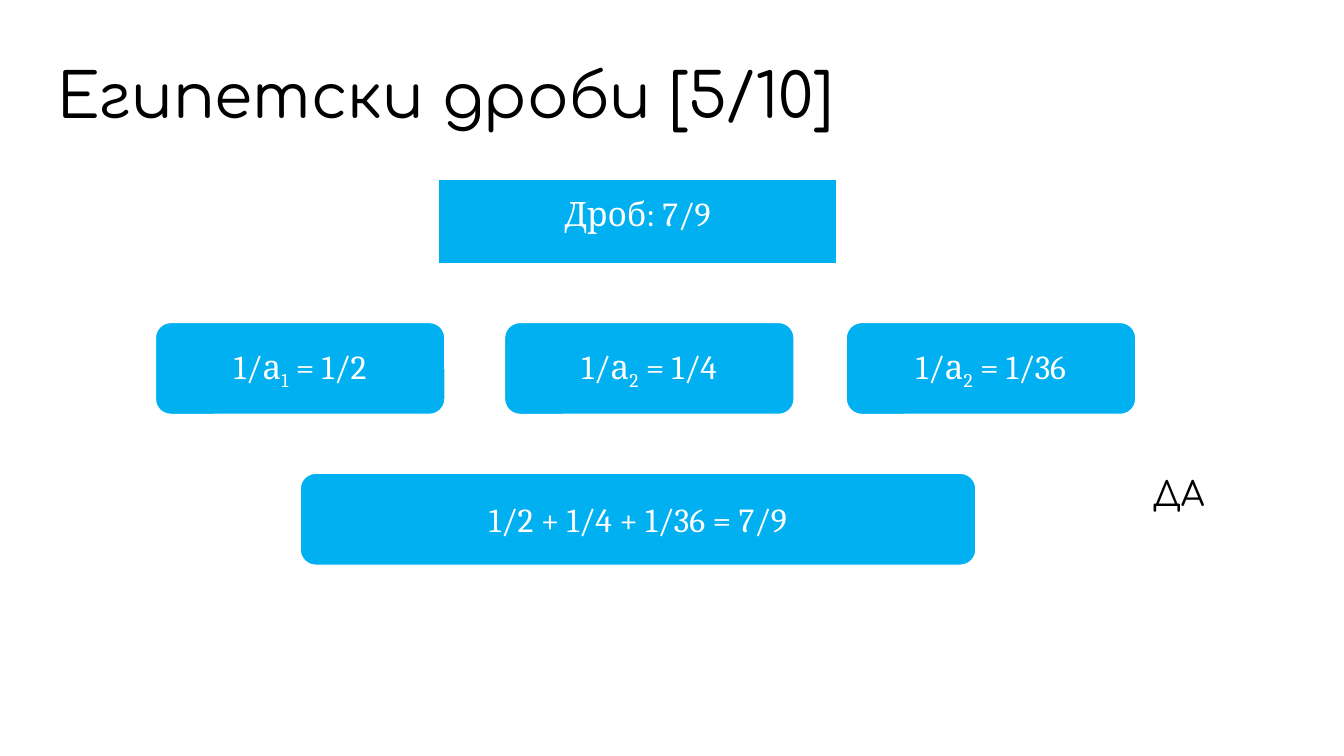
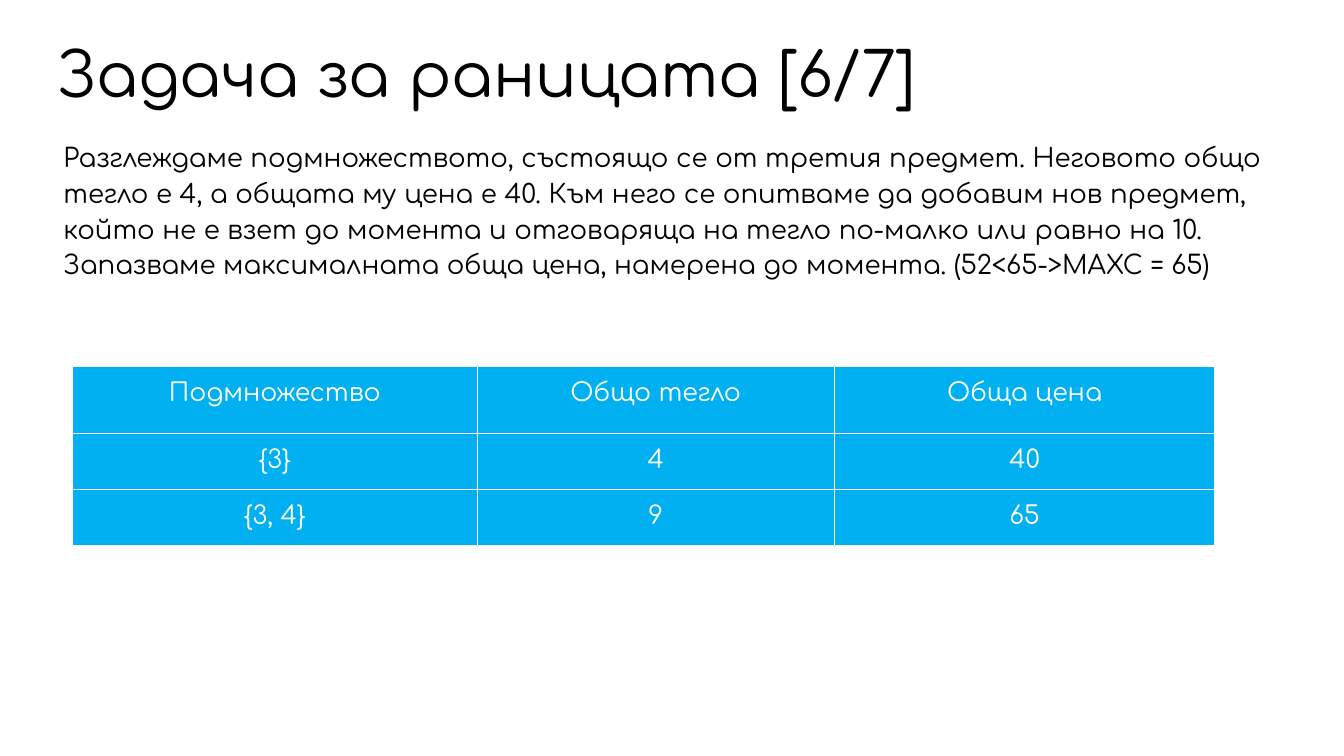
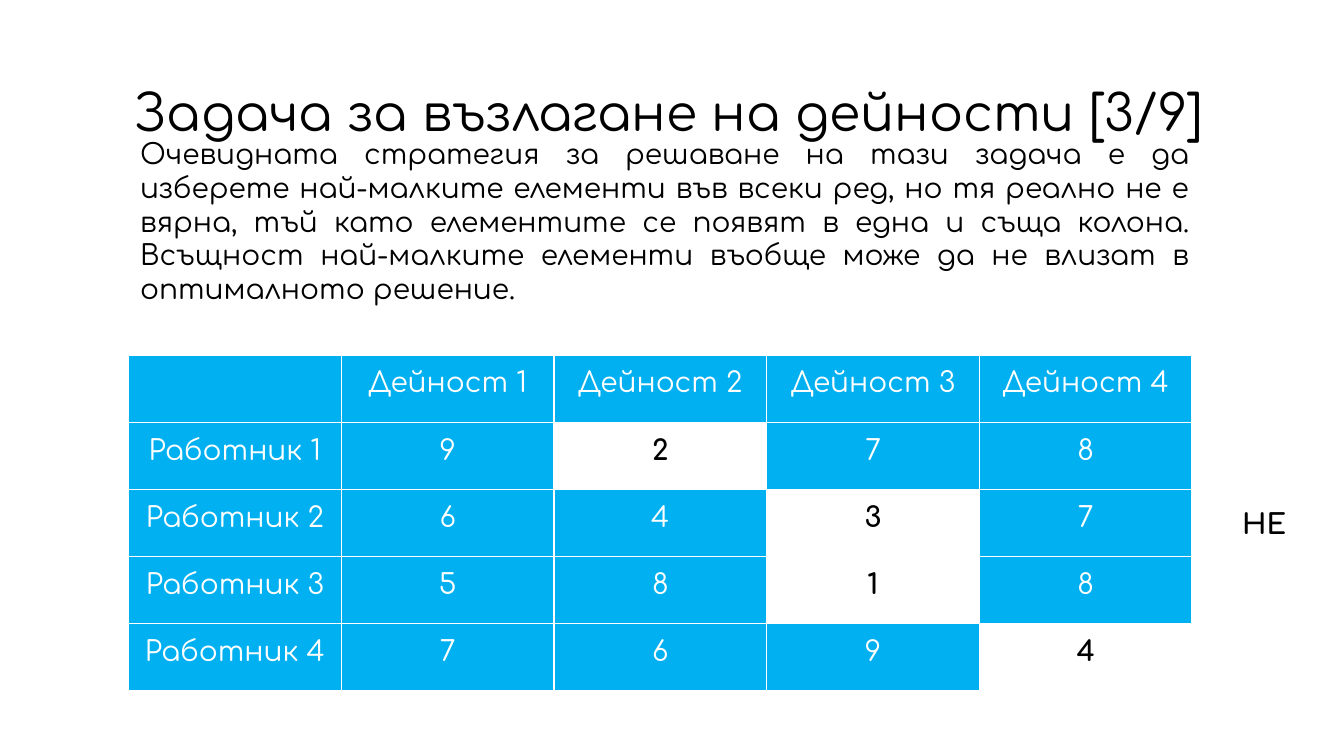
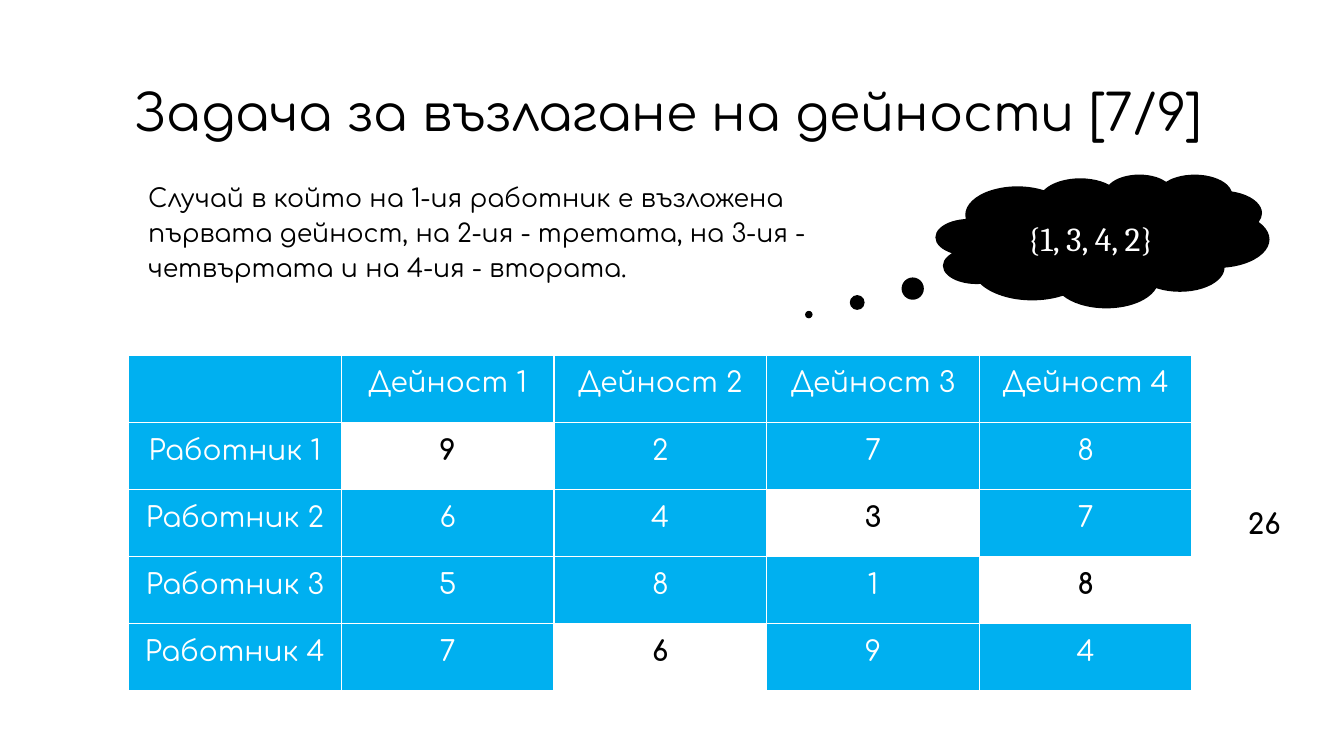
from dataclasses import dataclass

import lxml.etree
import pptx
import pptx.dml.color
import pptx.enum.shapes
import pptx.enum.text
import pptx.oxml.ns
import pptx.util

Cm = pptx.util.Cm
Pt = pptx.util.Pt
ALIGN = pptx.enum.text.PP_ALIGN
ANCHOR = pptx.enum.text.MSO_ANCHOR
SHAPE = pptx.enum.shapes.MSO_SHAPE


@dataclass(frozen=True)
class Theme:
    accent: str = "00B0F0"
    dark: str = "000000"
    light: str = "FFFFFF"
    outline: str = "44546A"
    heading_font: str = "Comfortaa"
    formula_font: str = "Cambria"
    title_size: float = 44
    long_title_size: float = 36
    formula_size: float = 24
    text_size: float = 20
    small_size: float = 18
    knapsack_size: float = 18.6
    inset: float = 0.33
    border: float = 1
    shape_line: float = 0.75


THEME = Theme()
TITLE_ONLY, TITLE_AND_BODY = 5, 1
ASSIGNMENT_TITLE_BOX = (3.1, 1.83, 29.41, 2.13)
COSTS = [[9, 2, 7, 8], [6, 4, 3, 7], [5, 8, 1, 8], [7, 6, 9, 4]]


def rgb(color):
    return pptx.dml.color.RGBColor.from_string(color)


def lengths(box):
    return [Cm(value) for value in box]


def add_run(paragraph, text, size, color=THEME.dark, font=THEME.heading_font, bold=False):
    run = paragraph.add_run()
    run.text = text
    run.font.size = Pt(size)
    run.font.name = font
    run.font.bold = bold
    run.font.color.rgb = rgb(color)
    return run


def add_child(parent, tag, **attributes):
    child = lxml.etree.SubElement(parent, pptx.oxml.ns.qn(tag))
    for name, value in attributes.items():
        child.set(name, str(value))
    return child


def add_line(parent, tag, color, width):
    line = add_child(parent, tag, w=Pt(width))
    add_child(add_child(line, "a:solidFill"), "a:srgbClr", val=color)
    return line


def set_insets(target, horizontal, vertical):
    target.margin_left = target.margin_right = Cm(horizontal)
    target.margin_top = target.margin_bottom = Cm(vertical)


def fill_placeholder(placeholder, box, text, size, anchor, align, spacing):
    placeholder.left, placeholder.top, placeholder.width, placeholder.height = lengths(box)
    frame = placeholder.text_frame
    frame.auto_size = pptx.enum.text.MSO_AUTO_SIZE.NONE
    frame.word_wrap = True
    frame.vertical_anchor = anchor
    set_insets(frame, 0.3, 0.1)
    paragraph = frame.paragraphs[0]
    paragraph.alignment = align
    paragraph.line_spacing = spacing
    add_run(paragraph, text, size)
    return paragraph


def add_slide(presentation, layout, title, box, size):
    slide = presentation.slides.add_slide(presentation.slide_layouts[layout])
    fill_placeholder(slide.shapes.title, box, title, size, ANCHOR.MIDDLE, ALIGN.LEFT, 0.9)
    return slide


def set_body(slide, box, text, size, align=ALIGN.LEFT, spacing=1.15):
    body = slide.placeholders[1]
    paragraph = fill_placeholder(body, box, text, size, ANCHOR.TOP, align, spacing)
    paragraph.space_before = Pt(16)
    properties = paragraph._p.get_or_add_pPr()
    properties.set("marL", "0")
    properties.set("indent", "0")
    add_child(properties, "a:buNone")


def add_formula(slide, kind, box, parts, fill=THEME.accent, anchor=ANCHOR.MIDDLE, outlined=True):
    shape = slide.shapes.add_shape(kind, *lengths(box))
    shape.shadow.inherit = False
    shape.fill.solid()
    shape.fill.fore_color.rgb = rgb(fill)
    if outlined:
        shape.line.color.rgb = rgb(THEME.light)
        shape.line.width = Pt(THEME.shape_line)
    else:
        shape.line.fill.background()
    frame = shape.text_frame
    frame.word_wrap = True
    frame.vertical_anchor = anchor
    set_insets(frame, THEME.inset, THEME.inset)
    paragraph = frame.paragraphs[0]
    paragraph.alignment = ALIGN.CENTER
    for index, part in enumerate(parts):
        run = add_run(paragraph, part, THEME.formula_size, THEME.light, THEME.formula_font)
        if index == 1:
            run.font._element.set("baseline", "-25000")
    return shape


def add_label(slide, box, text, size, bold=False):
    label = slide.shapes.add_textbox(*lengths(box))
    label.text_frame.word_wrap = True
    paragraph = label.text_frame.paragraphs[0]
    paragraph.alignment = ALIGN.CENTER
    return add_run(paragraph, text, size, bold=bold)


def format_cell(cell, text, size, highlighted):
    set_insets(cell, THEME.inset, THEME.inset)
    properties = cell._tc.get_or_add_tcPr()
    for tag in ("a:lnL", "a:lnR", "a:lnT", "a:lnB"):
        add_line(properties, tag, THEME.light, THEME.border)
    cell.fill.solid()
    cell.fill.fore_color.rgb = rgb(THEME.light if highlighted else THEME.accent)
    paragraph = cell.text_frame.paragraphs[0]
    paragraph.alignment = ALIGN.CENTER
    if text:
        color = THEME.dark if highlighted else THEME.light
        add_run(paragraph, text, size, color, bold=highlighted)


def add_grid(slide, left, top, widths, heights, rows, size, highlights=()):
    box = (left, top, sum(widths), sum(heights))
    table = slide.shapes.add_table(len(rows), len(widths), *lengths(box)).table
    table.first_row = table.horz_banding = False
    for column, width in zip(table.columns, widths):
        column.width = Cm(width)
    for row, height in zip(table.rows, heights):
        row.height = Cm(height)
    for row, values in enumerate(rows):
        for column, value in enumerate(values):
            format_cell(table.cell(row, column), str(value), size, (row, column) in highlights)


def add_assignment(slide, chosen, verdict):
    rows = [[""] + [f"Дейност {number}" for number in range(1, 5)]]
    rows += [[f"Работник {number}", *costs] for number, costs in enumerate(COSTS, 1)]
    highlights = set(enumerate(chosen, 1))
    add_grid(slide, 3.24, 8.95, [5.36] * 5, [1.69] * 5, rows, THEME.text_size, highlights)
    add_label(slide, (30.64, 12.64, 2.44, 1.7), verdict, THEME.text_size, bold=True)


def build_fractions(presentation):
    slide = add_slide(presentation, TITLE_ONLY, "Египетски дроби [5/10]",
                      (1.14, 1.42, 31.55, 2.13), THEME.title_size)
    add_formula(slide, SHAPE.RECTANGLE, (11.05, 4.52, 10.03, 2.13), ["Дроб: 7/9"],
                anchor=ANCHOR.TOP)
    terms = [(3.92, "1", "2"), (12.72, "2", "4"), (21.33, "2", "36")]
    for left, index, denominator in terms:
        add_formula(slide, SHAPE.ROUNDED_RECTANGLE, (left, 8.13, 7.29, 2.31),
                    ["1/а", index, f" = 1/{denominator}"])
    add_formula(slide, SHAPE.ROUNDED_RECTANGLE, (7.57, 11.93, 17.02, 2.31),
                ["1/2 + 1/4 + 1/36 = 7/9"])
    answer = add_label(slide, (27.94, 11.79, 3.53, 2.59), "ДА", THEME.formula_size)
    properties = answer.font._element
    properties.insert(0, add_line(properties, "a:ln", THEME.outline, THEME.shape_line))


def build_knapsack(presentation):
    slide = add_slide(presentation, TITLE_AND_BODY, "Задача за раницата [6/7]",
                      (1.14, 0.77, 31.55, 2.36), THEME.title_size)
    set_body(slide, (1.3, 3.34, 30.94, 5.18),
             "Разглеждаме подмножеството, състоящо се от третия предмет. Неговото общо "
             "тегло е 4, а общата му цена е 40. Към него се опитваме да добавим нов предмет, "
             "който не е взет до момента и отговаряща на тегло по-малко или равно на 10. "
             "Запазваме максималната обща цена, намерена до момента. (52<65->MAXC = 65)",
             THEME.knapsack_size)
    rows = [["Подмножество", "Общо тегло", "Обща цена"],
            ["{3}", 4, 40],
            ["{3, 4}", 9, 65]]
    add_grid(slide, 1.82, 9.24, [10.21, 8.99, 9.6], [1.68, 1.42, 1.42], rows, THEME.small_size)


def build_greedy_assignment(presentation):
    slide = add_slide(presentation, TITLE_AND_BODY, "Задача за възлагане на дейности [3/9]",
                      ASSIGNMENT_TITLE_BOX, THEME.long_title_size)
    set_body(slide, (3.23, 3.35, 27.05, 4.83),
             "Очевидната стратегия за решаване на тази задача е да изберете най-малките "
             "елементи във всеки ред, но тя реално не е вярна, тъй като елементите се появят "
             "в една и съща колона. Всъщност най-малките елементи въобще може да не влизат в "
             "оптималното решение.",
             THEME.text_size, ALIGN.JUSTIFY, 1.0)
    add_assignment(slide, (2, 3, 3, 4), "НЕ")


def build_permutation_assignment(presentation):
    slide = add_slide(presentation, TITLE_AND_BODY, "Задача за възлагане на дейности [7/9]",
                      ASSIGNMENT_TITLE_BOX, THEME.long_title_size)
    set_body(slide, (3.43, 4.39, 19.38, 4.42),
             "Случай в който на 1-ия работник е възложена първата дейност, на 2-ия - третата, "
             "на 3-ия - четвъртата и на 4-ия - втората.",
             THEME.small_size)
    cloud = add_formula(slide, SHAPE.CLOUD_CALLOUT, (23.58, 4.39, 8.41, 3.37),
                        ["{1, 3, 4, 2}"], fill=THEME.dark, outlined=False)
    cloud.adjustments[0] = -0.88
    cloud.adjustments[1] = 0.55
    add_assignment(slide, (1, 3, 4, 2), "26")


def main():
    presentation = pptx.Presentation()
    presentation.slide_width = Cm(33.87)
    presentation.slide_height = Cm(19.05)
    build_fractions(presentation)
    build_knapsack(presentation)
    build_greedy_assignment(presentation)
    build_permutation_assignment(presentation)
    presentation.save("out.pptx")


if __name__ == "__main__":
    main()
